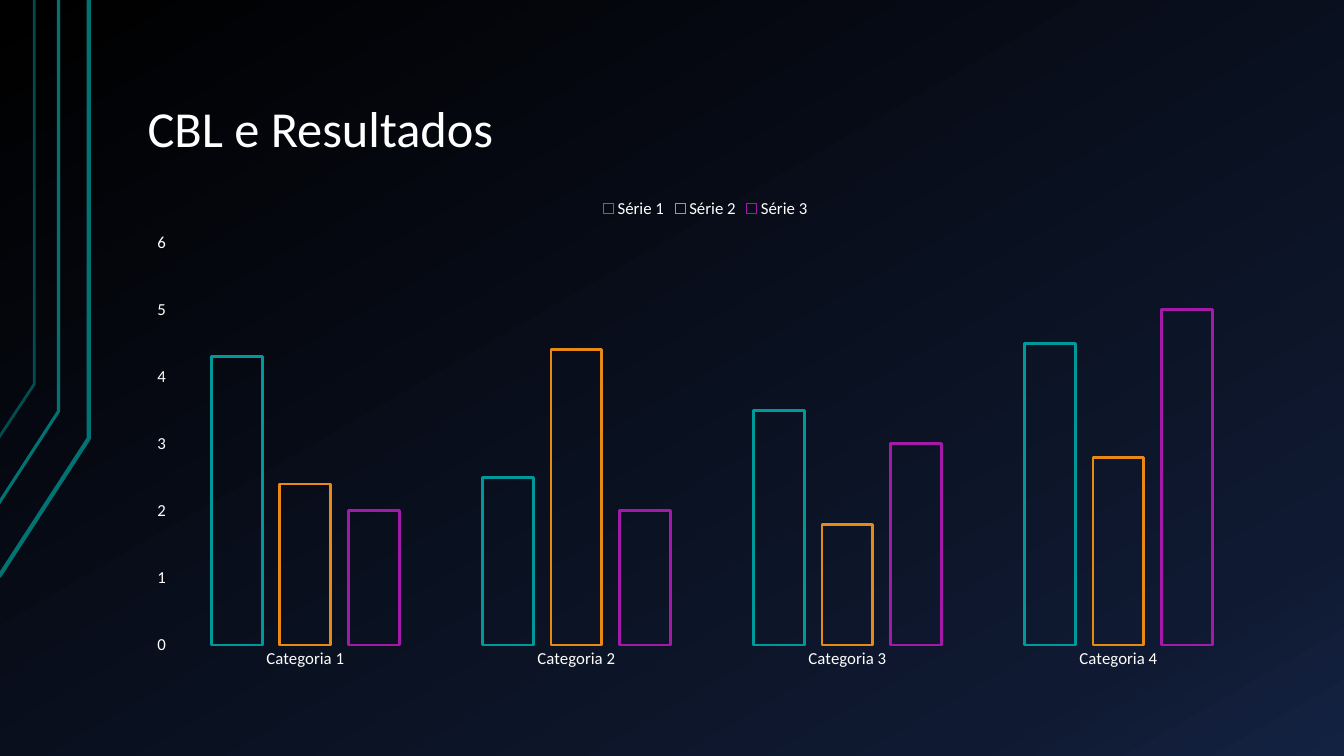
from pptx import Presentation
from pptx.chart.data import CategoryChartData
from pptx.dml.color import RGBColor
from pptx.enum.chart import XL_CHART_TYPE, XL_LEGEND_POSITION, XL_TICK_MARK
from pptx.enum.text import MSO_ANCHOR
from pptx.oxml import parse_xml
from pptx.oxml.ns import nsdecls, qn
from pptx.util import Inches, Pt
from lxml.etree import SubElement

WIDTH, HEIGHT = Inches(13.33), Inches(7.5)
FONT = "Calibri"
WHITE = RGBColor(0xFF, 0xFF, 0xFF)
DARK_TEAL = RGBColor(0x00, 0x73, 0x73)
TEAL = RGBColor(0x00, 0x99, 0x99)
ORANGE = RGBColor(0xE9, 0x89, 0x15)
PURPLE = RGBColor(0xA4, 0x19, 0xA7)
BLACK = RGBColor(0x00, 0x00, 0x00)
NAVY = RGBColor(0x0F, 0x19, 0x31)
BLUE = RGBColor(0x14, 0x22, 0x42)

# Content column, as shares of the slide
LEFT, SPAN = 0.1, 0.85

CATEGORIES = [f"Categoria {number}" for number in range(1, 5)]
SERIES = [
    ("Série 1", TEAL, (4.3, 2.5, 3.5, 4.5)),
    ("Série 2", ORANGE, (2.4, 4.4, 1.8, 2.8)),
    ("Série 3", PURPLE, (2, 2, 3, 5)),
]
# Edge lines: x, height of the bend, height at the slide edge (inches), weight, opacity
EDGE_LINES = [
    (0.88, 4.35, 5.72, 3, 100),
    (0.58, 4.08, 4.99, 2.25, 100),
    (0.34, 3.81, 4.34, 2, 65),
]


def box(left, top, width, height):
    """Turn shares of the slide into a position and size."""
    return (int(WIDTH * left), int(HEIGHT * top),
            int(WIDTH * width), int(HEIGHT * height))


def set_background(slide, stops, angle):
    stop_xml = "".join(
        f'<a:gs pos="{share * 1000}"><a:srgbClr val="{color}"/></a:gs>'
        for share, color in stops)
    background = parse_xml(
        f'<p:bg {nsdecls("p", "a")}><p:bgPr><a:gradFill><a:gsLst>{stop_xml}</a:gsLst>'
        f'<a:lin ang="{angle * 60000}" scaled="0"/></a:gradFill>'
        '<a:effectLst/></p:bgPr></p:bg>')
    slide.element.cSld.insert(0, background)


def format_font(font, size, color=WHITE):
    font.name, font.size = FONT, Pt(size)
    font.color.rgb = color


def add_text(slide, text, position, size, color=WHITE,
             anchor=MSO_ANCHOR.TOP, line_spacing=1.0):
    frame = slide.shapes.add_textbox(*position).text_frame
    frame.word_wrap = True
    frame.vertical_anchor = anchor
    frame.margin_left = frame.margin_right = Inches(0.13)
    frame.margin_top = frame.margin_bottom = Inches(0.07)
    paragraph = frame.paragraphs[0]
    paragraph.line_spacing = line_spacing
    run = paragraph.add_run()
    run.text = text
    format_font(run.font, size, color)


def add_edge_line(slide, x, bend, end, weight, opacity):
    builder = slide.shapes.build_freeform(Inches(-0.01), Inches(end))
    corner, top = (Inches(x), Inches(bend)), (Inches(x), 0)
    builder.add_line_segments([corner, top], close=False)
    shape = builder.convert_to_shape()
    shape.shadow.inherit = False
    shape.fill.background()
    shape.line.color.rgb = DARK_TEAL
    shape.line.width = Pt(weight)
    if opacity < 100:
        color = next(shape.line._get_or_add_ln().iter(qn("a:srgbClr")))
        SubElement(color, qn("a:alpha"), val=str(opacity * 1000))


def format_axis(axis):
    axis.has_major_gridlines = False
    axis.major_tick_mark = axis.minor_tick_mark = XL_TICK_MARK.NONE
    axis.format.line.fill.background()
    format_font(axis.tick_labels.font, 12)


def add_column_chart(slide, position):
    data = CategoryChartData()
    data.categories = CATEGORIES
    for name, _, values in SERIES:
        data.add_series(name, values)
    chart = slide.shapes.add_chart(
        XL_CHART_TYPE.COLUMN_CLUSTERED, *position, data).chart
    format_font(chart.font, 10)
    chart.has_title = False

    # Legend and axes
    chart.has_legend = True
    chart.legend.position = XL_LEGEND_POSITION.TOP
    chart.legend.include_in_layout = False
    format_font(chart.legend.font, 12)
    format_axis(chart.category_axis)
    format_axis(chart.value_axis)

    # Outlined columns
    plot = chart.plots[0]
    plot.vary_by_categories = False
    plot.gap_width, plot.overlap = 164, -35
    for series, (_, color, _) in zip(plot.series, SERIES):
        series.format.fill.background()
        series.format.line.color.rgb = color
        series.format.line.width = Pt(2)


def main():
    presentation = Presentation()
    presentation.slide_width, presentation.slide_height = WIDTH, HEIGHT
    slide = presentation.slides.add_slide(presentation.slide_layouts[6])
    set_background(slide, [(0, BLACK), (85, NAVY), (100, BLUE)], angle=60)
    for edge_line in EDGE_LINES:
        add_edge_line(slide, *edge_line)
    # Title ends and chart starts just above the first quarter
    title_bottom, chart_top = Inches(1.64) / HEIGHT, Inches(1.86) / HEIGHT
    add_text(slide, "CBL e Resultados",
             box(LEFT, 0.04, SPAN, title_bottom - 0.04), size=36,
             anchor=MSO_ANCHOR.BOTTOM, line_spacing=0.9)
    add_column_chart(slide, box(LEFT, chart_top, SPAN, 0.65))
    presentation.save("out.pptx")


main()
